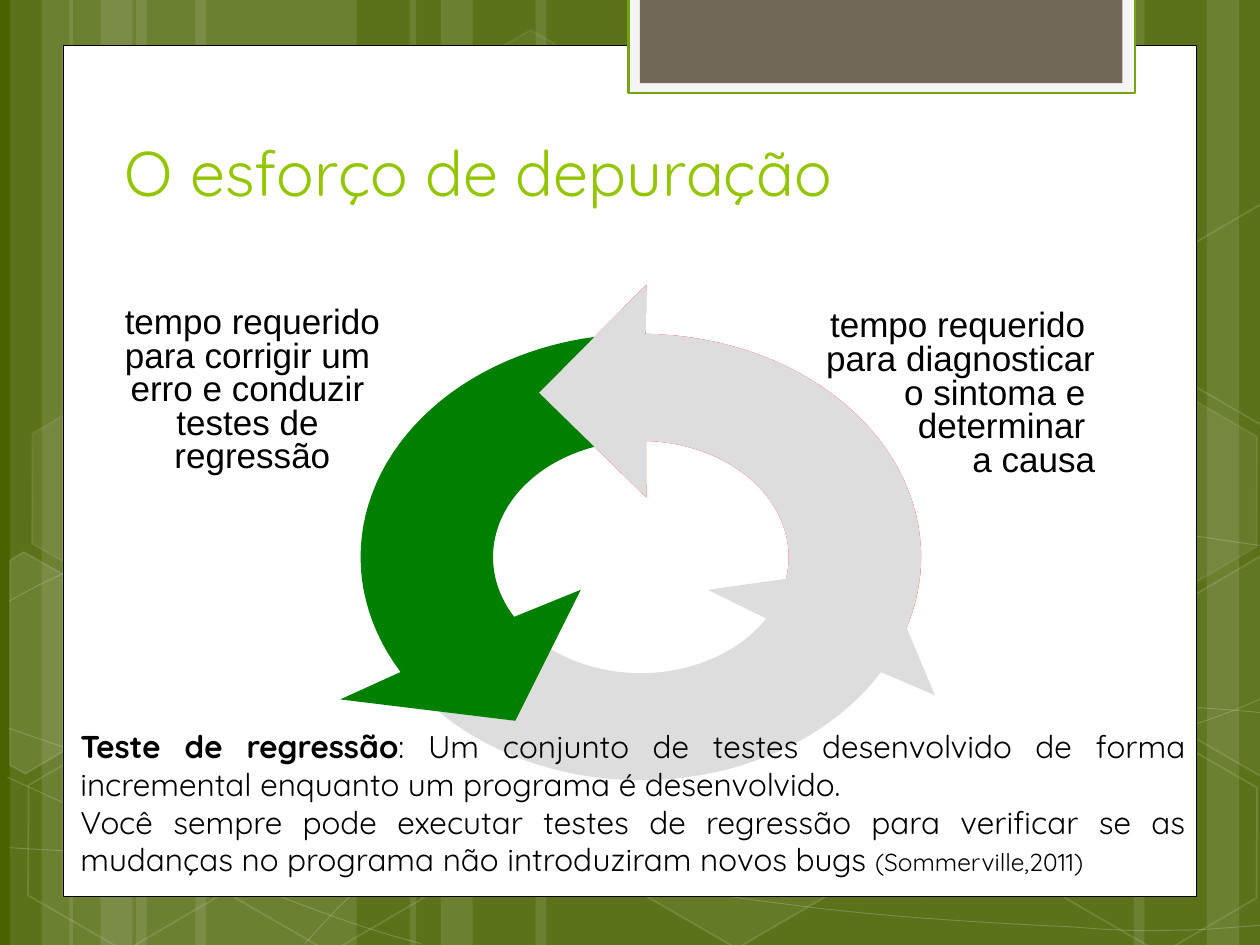
"""Build the slide on debugging effort, with its ring of arrows."""
import math

import lxml.etree
import pptx
import pptx.dml.color
import pptx.enum.shapes
import pptx.enum.text
import pptx.oxml.ns
import pptx.util

Cm, Pt = pptx.util.Cm, pptx.util.Pt
KIND = pptx.enum.shapes.MSO_SHAPE
ALIGN = pptx.enum.text.PP_ALIGN
FIT = pptx.enum.text.MSO_AUTO_SIZE

STRIPES = [
    (2.74, 4.45), (0.2, 1.27), (0.84, 2.12), (3.94, 4.45),
    (1.4, 1.27), (2.03, 2.12), (18.62, 4.45), (24.33, 1.27),
    (22.86, 2.12), (10.8, 7.82), (8.26, 1.27), (8.89, 2.12),
]
CURVES = [
    [(0.18, 17.09), (1.55, 17.17), (2.92, 17.25), (4.83, 17.22),
     (6.73, 17.2), (9.09, 17.15), (11.63, 16.89), (14.17, 16.64),
     (17.78, 16.13), (20.12, 15.67), (22.43, 15.19), (24.82, 14.43),
     (25.58, 14)],
    [(0.18, 12.12), (0.91, 11.71), (1.65, 11.33), (3.07, 10.95),
     (4.52, 10.57), (6.58, 10.01), (8.81, 9.83), (11.07, 9.65),
     (13.82, 9.63), (16.61, 9.83), (19.41, 10.03), (24.05, 10.82),
     (25.58, 11.02)],
    [(0.15, 15.67), (3.23, 17.07), (6.27, 18.47), (8.48, 19.02)],
    [(0.18, 14.68), (0.97, 14.96), (1.78, 15.24), (3.25, 15.65),
     (4.72, 16.03), (6.93, 16.66), (9.07, 17.09), (11.18, 17.53),
     (13.84, 17.98), (15.95, 18.24), (18.06, 18.52), (20.32, 18.62),
     (21.67, 18.69), (22.99, 18.8), (23.34, 18.75), (24, 18.75),
     (24.66, 18.72), (25.12, 18.67), (25.58, 18.64)],
    [(6.15, 19.02), (6.6, 18.52), (7.06, 18.01), (7.67, 17.55),
     (8.28, 17.09), (9.14, 16.59), (9.86, 16.23), (10.57, 15.88),
     (11, 15.72), (11.94, 15.47), (12.85, 15.21), (14.55, 14.86),
     (15.44, 14.68), (16.36, 14.5), (16.48, 14.5), (17.27, 14.45),
     (18.06, 14.38), (19.3, 14.3), (20.17, 14.27), (21.64, 14.25),
     (23.1, 14.27), (24.21, 14.27), (24.66, 14.3), (25.1, 14.33),
     (25.55, 14.38)],
]
HEXES = [
    (8.48, 0.91, 4, 8), (12.62, 14.96, 6, 12), (0.28, 15.01, 0, 12),
    (0.36, 7.92, 7, 8), (4.42, 15.04, 0, 12), (19.13, 11.51, 10, 12),
    (21.18, 15.06, 0, 12), (21.18, 7.98, 7, 8),
]
LEFT = [(0.2, 11.3), (0.48, 11.13), (2.44, 12.24), (2.41, 14.48),
        (0.51, 15.6), (0.2, 15.42)]
RIGHT = [(23.52, 12.32), (25.43, 11.2), (25.63, 11.33), (25.63, 15.57),
         (25.45, 15.67), (23.52, 14.55)]
HEAD = [(13.03, 10.03), (10.87, 7.92), (13.03, 5.74)]


def rgb(code):
    """Turn a hex string into a colour."""
    return pptx.dml.color.RGBColor.from_string(code)


def paint(fill, code, alpha=100):
    """Fill with a colour at an opacity in percent; none at zero."""
    if not alpha:
        fill.background()
        return
    fill.solid()
    fill.fore_color.rgb = rgb(code)
    if alpha < 100:
        tone = fill._xPr.find(".//" + pptx.oxml.ns.qn("a:srgbClr"))
        lxml.etree.SubElement(
            tone, pptx.oxml.ns.qn("a:alpha"), val=str(alpha * 1000))


def style(shape, code, alpha=100, line="FFFFFF", width=0, clear=100):
    """Set the fill and line of a shape and drop its shadow."""
    shape.shadow.inherit = False
    paint(shape.fill, code, alpha)
    paint(shape.line.fill, line, clear if width else 0)
    if width:
        shape.line.width = Pt(width)


def block(slide, kind, box):
    """Add a preset shape in a box given in centimetres."""
    return slide.shapes.add_shape(kind, *[Cm(n) for n in box])


def outline(slide, points, close=True):
    """Add a freeform through points given in centimetres."""
    spots = [(Cm(x), Cm(y)) for x, y in points]
    build = slide.shapes.build_freeform(*spots[0])
    build.add_line_segments(spots[1:], close=close)
    return build.convert_to_shape()


def bend(knots, steps=12):
    """Sample a chain of cubic curves."""
    points = [knots[0]]
    for k in range(0, len(knots) - 1, 3):
        for i in range(1, steps + 1):
            t = i / steps
            mix = ((1 - t) ** 3, 3 * t * (1 - t) ** 2, 3 * t * t * (1 - t), t ** 3)
            points.append(tuple(
                sum(m * knot[axis] for m, knot in zip(mix, knots[k:k + 4]))
                for axis in (0, 1)))
    return points


def arc(wide, high, start, stop, steps=40):
    """List points on an ellipse around the ring's centre."""
    turns = [math.radians(start + (stop - start) * i / steps)
             for i in range(steps + 1)]
    return [(12.92 + wide * math.cos(t), 11.23 + high * math.sin(t))
            for t in turns]


def arrow(slide, code, outer, inner, front=(), back=()):
    """Add a curved arrow with points between its two arcs."""
    points = [*arc(5.65, 4.5, *outer), *front, *arc(2.98, 2.34, *inner), *back]
    style(outline(slide, points), code)


def write(para, parts, font, align):
    """Fill a paragraph with runs of text, size and weight."""
    para.alignment = align
    for text, size, bold in parts:
        run = para.add_run()
        run.text = text
        run.font.name, run.font.size, run.font.bold = font, Pt(size), bold
        run.font.color.rgb = rgb("000000")


def text_box(slide, box, paras, font, align, grow=True):
    """Add a wrapped text box and return its frame."""
    frame = slide.shapes.add_textbox(*[Cm(n) for n in box]).text_frame
    frame.word_wrap = True
    frame.auto_size = FIT.SHAPE_TO_FIT_TEXT if grow else FIT.NONE
    for i, parts in enumerate(paras):
        para = frame.add_paragraph() if i else frame.paragraphs[0]
        write(para, parts, font, align)
    return frame


def label(slide, box, lines, align, grow):
    """Add a tightly spaced label beside the ring."""
    paras = [[(line, 20, False)] for line in lines]
    frame = text_box(slide, box, paras, "Arial", align, grow)
    frame.margin_left = frame.margin_top = frame.margin_bottom = 0
    frame.margin_right = Cm(0.1)
    for para in frame.paragraphs:
        para.line_spacing = 0.8
        props = para._p.get_or_add_pPr()
        props.set("marL", str(Cm(0.1)))
        props.set("indent", "0")


def backdrop(slide):
    """Draw the striped ground, its hexagons and the white panel."""
    paint(slide.background.fill, "4A6300")
    for left, width in STRIPES:
        style(block(slide, KIND.RECTANGLE, (left, 0, width, 19.05)), "FFFFFF", 10)
    for knots in CURVES:
        style(outline(slide, bend(knots), False), "FFFFFF", 0, width=0.5, clear=20)
    for left, top, alpha, clear in HEXES:
        cell = block(slide, KIND.HEXAGON, (left, top, 4.45, 3.86))
        cell.adjustments[0], cell.adjustments[1] = 0.285, 1.155
        cell.rotation = 30
        style(cell, "FFFFFF", alpha, width=1, clear=clear)
    upper = [(x, y - 7.09) for x, y in RIGHT]
    for points, alpha in ((LEFT, 10), (RIGHT, 4), (upper, 0)):
        style(outline(slide, points), "FFFFFF", alpha, width=1, clear=12)
    for box, code, line, width in (
            ((1.27, 0.91, 22.86, 17.17), "FFFFFF", "000000", 0.5),
            ((12.67, -0.05, 10.21, 1.93), "F5F5F5", "74A510", 1.25),
            ((12.9, -0.05, 9.73, 1.73), "71685A", "71685A", 0)):
        style(block(slide, KIND.RECTANGLE, box), code, line=line, width=width)


def heading(slide, text):
    """Place and format the title above the panel."""
    title = slide.shapes.title
    title.element.getparent().append(title.element)
    title.left, title.top, title.width, title.height = (
        Cm(2.26), Cm(2.51), Cm(19.51), Cm(1.83))
    frame = title.text_frame
    frame.text = text
    frame.vertical_anchor = pptx.enum.text.MSO_ANCHOR.BOTTOM
    frame.margin_right = Cm(0.36)
    frame.paragraphs[0].alignment = ALIGN.LEFT
    font = frame.paragraphs[0].runs[0].font
    font.name, font.size, font.color.rgb = "Quicksand", Pt(36), rgb("94C600")


def main():
    """Build and save the slide."""
    deck = pptx.Presentation()
    deck.slide_width, deck.slide_height = Cm(25.4), Cm(19.05)
    slide = deck.slides.add_slide(deck.slide_layouts[5])
    backdrop(slide)
    label(slide, (14.94, 6.27, 7.24, 4.6),
          ["tempo requerido ", "para diagnosticar", "o sintoma e ",
           "determinar ", "a causa"], ALIGN.RIGHT, False)
    label(slide, (2.26, 6.2, 5.66, 3.45),
          ["tempo requerido", "para corrigir um ", "erro e conduzir ",
           "testes de ", "regressão"], ALIGN.CENTER, True)
    heading(slide, "O esforço de depuração")
    arrow(slide, "FF0000", (-89, 31), (31, -88), back=HEAD)
    arrow(slide, "DDDDDD", (140, 31), (32, 130),
          [(18.85, 14.02), (17.75, 11.4), (14.27, 11.89)])
    arrow(slide, "008000", (261, 149), (149, 252),
          [(6.86, 14.1), (10.39, 14.53), (11.71, 11.89)])
    arrow(slide, "DDDDDD", (-89, 19.5), (12, -88), [(17.75, 11.48)], HEAD)
    text_box(slide, (1.37, 14.53, 22.78, 3.33), [
        [("Teste de regressão", 18, True),
         (": Um conjunto de testes desenvolvido de forma incremental "
          "enquanto um programa é desenvolvido.", 18, False)],
        [("Você sempre pode executar testes de regressão para verificar se as "
          "mudanças no programa não introduziram novos bugs ", 18, False),
         ("(Sommerville,2011)", 14, False)]], "Quicksand", ALIGN.JUSTIFY)
    deck.save("out.pptx")


if __name__ == "__main__":
    main()
